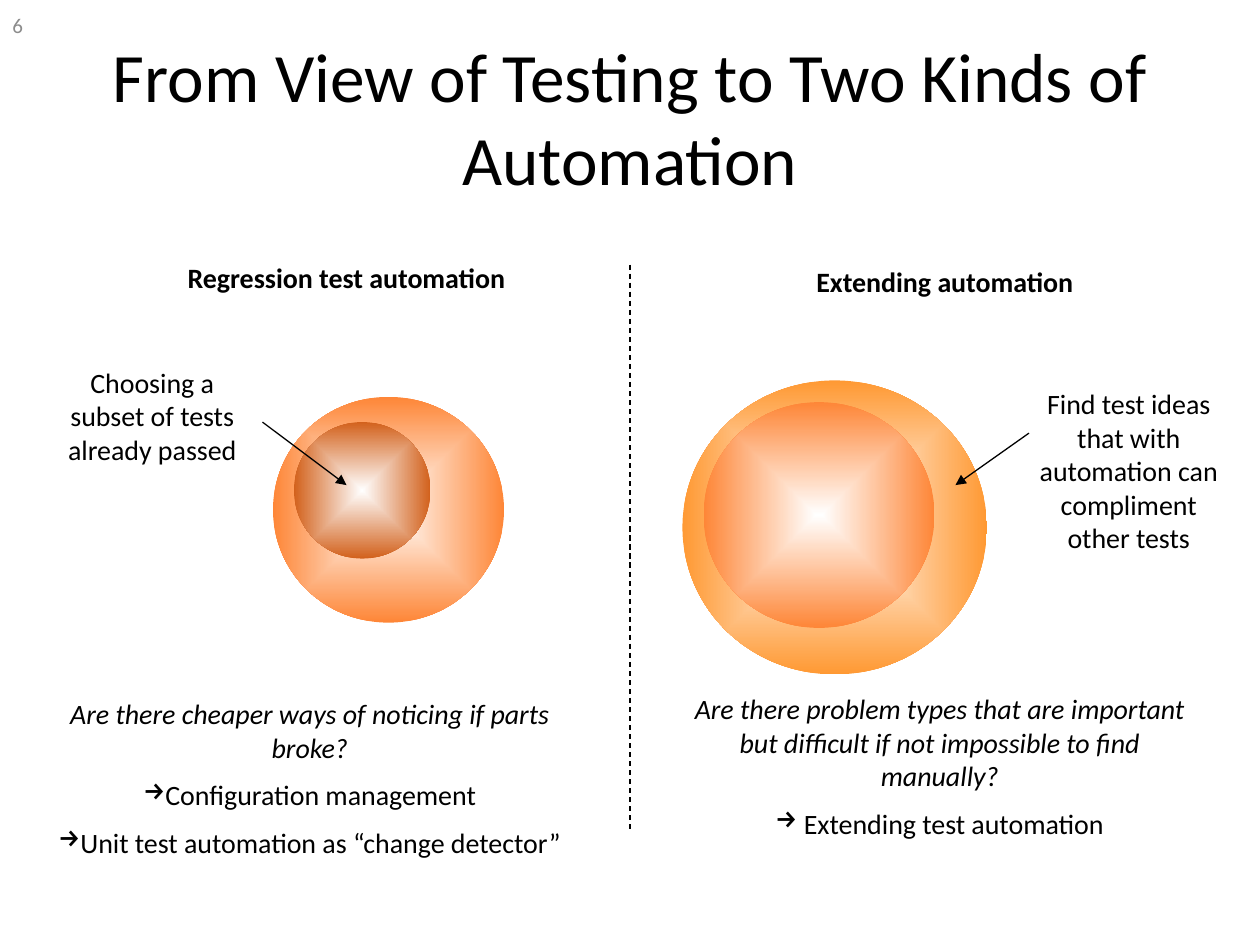
from lxml.etree import SubElement
from pptx import Presentation
from pptx.dml.color import RGBColor
from pptx.enum.dml import MSO_LINE
from pptx.enum.shapes import MSO_CONNECTOR, MSO_SHAPE
from pptx.enum.text import MSO_ANCHOR, PP_ALIGN
from pptx.oxml.ns import qn
from pptx.util import Pt

THEME = {
    "font": "Calibri", "text": "000000", "muted": "8C8C8C", "center": "FFFFFF",
    "amber": "FF9933", "orange": "FE8637", "rust": "D2611C",
    "title_size": 39.6, "body_size": 16, "number_size": 12,
    "line_width": 0.75, "paragraph_gap": 8,
}

# Content: boxes are left, top, width, height in points
TITLE = ("From View of Testing to Two Kinds of Automation", (36, 21.6, 648, 90))
PAGE_NUMBER = ("6", (0, 0, 168, 28.8))
DIVIDER = (360, 151.2, 360, 475.2)
SIDES = [
    {
        "heading": ("Regression test automation", (54, 145.5, 288, 26.6)),
        "circles": [("orange", (156, 226.8, 132, 129)),
                    ("rust", (168, 241.2, 78, 78))],
        "callout": ("Choosing a subset of tests already passed",
                    (24, 205.2, 126, 65)),
        "arrow": (150, 241.2, 198, 277.2),
        "question": "Are there cheaper ways of noticing if parts broke?",
        "answers": ["Configuration management",
                    "Unit test automation as “change detector”"],
        "question_box": (24, 394.6, 306, 122.4),
    },
    {
        "heading": ("Extending automation", (396, 147.6, 288, 26.6)),
        "circles": [("amber", (390, 217.4, 174, 168)),
                    ("orange", (402, 229.8, 132, 129))],
        "callout": ("Find test ideas that with automation can compliment other tests",
                    (582, 217.4, 126, 103.7)),
        "arrow": (588, 247.5, 546, 277.2),
        "question": "Are there problem types that are important but difficult "
                    "if not impossible to find manually?",
        "answers": [" Extending test automation"],
        "question_box": (384, 391.7, 306, 93.6),
    },
]


def color(name):
    return RGBColor.from_string(THEME[name])


def add_text(slide, paragraphs, box, size="body_size", ink="text", bold=False,
             italic=False, align=PP_ALIGN.CENTER, anchor=MSO_ANCHOR.TOP):
    """Add a text box; paragraphs after the first are arrow bullets."""
    frame = slide.shapes.add_textbox(*map(Pt, box)).text_frame
    frame.word_wrap = True
    frame.vertical_anchor = anchor
    frame.text = "\n".join(paragraphs)
    for index, paragraph in enumerate(frame.paragraphs):
        paragraph.alignment = align
        if index:
            properties = paragraph.runs[0].font._element.getparent().getparent().get_or_add_pPr()
            properties.set("marL", "0")
            properties.set("indent", "0")
            SubElement(properties, qn("a:buChar")).set("char", "→")
            paragraph.space_before = Pt(THEME["paragraph_gap"])
        font = paragraph.runs[0].font
        font.name = THEME["font"]
        font.size = Pt(THEME[size])
        font.color.rgb = color(ink)
        font.bold = bold
        font.italic = italic and index == 0


def add_circle(slide, edge, box):
    """Add an ellipse that fades from its centre to the edge colour."""
    shape = slide.shapes.add_shape(MSO_SHAPE.OVAL, *map(Pt, box))
    shape.shadow.inherit = False
    shape.line.fill.background()
    shape.fill.gradient()
    for stop, name, position in zip(shape.fill.gradient_stops, ("center", edge), (0, 1)):
        stop.color.rgb = color(name)
        stop.position = position
    gradient = shape._element.spPr.find(qn("a:gradFill"))
    gradient.remove(gradient.find(qn("a:lin")))
    shading = gradient.makeelement(qn("a:path"), {"path": "shape"})
    gradient.find(qn("a:gsLst")).addnext(shading)
    focus = SubElement(shading, qn("a:fillToRect"))
    for side in "ltrb":
        focus.set(side, "50000")


def add_line(slide, ends, dashed=False, arrow=False):
    connector = slide.shapes.add_connector(MSO_CONNECTOR.STRAIGHT, *map(Pt, ends))
    connector.line.color.rgb = color("text")
    connector.line.width = Pt(THEME["line_width"])
    if dashed:
        connector.line.dash_style = MSO_LINE.DASH
    if arrow:
        SubElement(connector.line._get_or_add_ln(), qn("a:tailEnd")).set("type", "triangle")
    SubElement(connector._element.spPr, qn("a:effectLst"))


def main():
    presentation = Presentation()
    presentation.slide_width, presentation.slide_height = Pt(720), Pt(540)
    slide = presentation.slides.add_slide(presentation.slide_layouts[6])

    # Title, page number and divider
    title, title_box = TITLE
    add_text(slide, [title], title_box, size="title_size", anchor=MSO_ANCHOR.MIDDLE)
    number, number_box = PAGE_NUMBER
    add_text(slide, [number], number_box, size="number_size", ink="muted",
             align=PP_ALIGN.LEFT, anchor=MSO_ANCHOR.MIDDLE)
    add_line(slide, DIVIDER, dashed=True)

    # The two kinds of automation
    for side in SIDES:
        heading, heading_box = side["heading"]
        add_text(slide, [heading], heading_box, bold=True)
        for edge, box in side["circles"]:
            add_circle(slide, edge, box)
        callout, callout_box = side["callout"]
        add_text(slide, [callout], callout_box)
        add_line(slide, side["arrow"], arrow=True)
        add_text(slide, [side["question"], *side["answers"]],
                 side["question_box"], italic=True)

    presentation.save("out.pptx")


if __name__ == "__main__":
    main()
